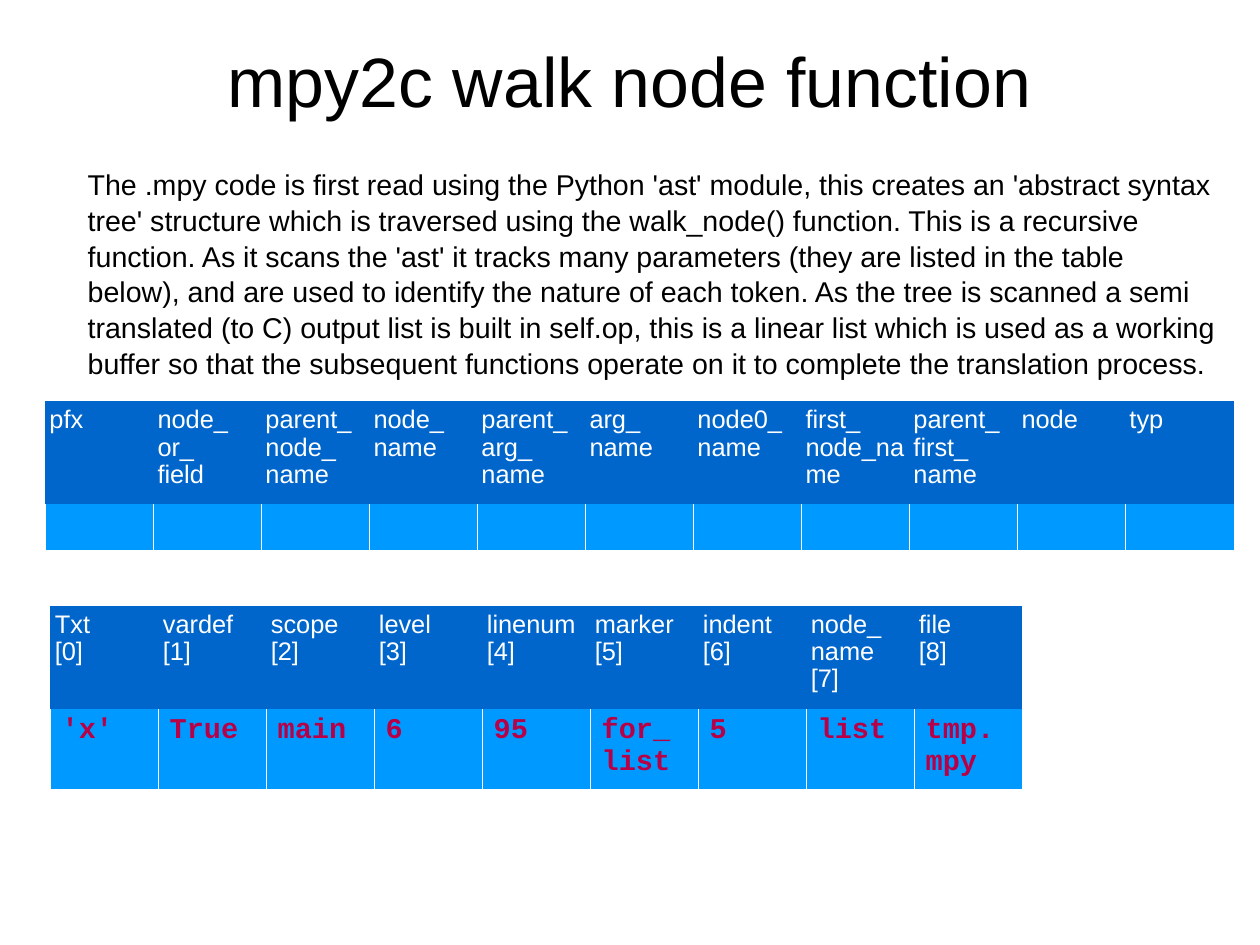
"""Build the slide on the walk node function and its two parameter tables."""
from dataclasses import dataclass

from lxml.etree import SubElement as Sub
from pptx import Presentation as Deck
from pptx.dml.color import RGBColor as Rgb
from pptx.enum.text import MSO_ANCHOR as Anchor, MSO_AUTO_SIZE as Auto, PP_ALIGN as Align
from pptx.oxml.ns import qn
from pptx.util import Cm, Pt

TITLE = "mpy2c walk node function"
BODY = (
    "The .mpy code is first read using the Python 'ast' module, this creates an "
    "'abstract syntax tree' structure which is traversed using the walk_node() "
    "function. This is a recursive function. As it scans the 'ast' it tracks many "
    "parameters (they are listed in the table below), and are used to identify the "
    "nature of each token. As the tree is scanned a semi translated (to C) output "
    "list is built in self.op, this is a linear list which is used as a working "
    "buffer so that the subsequent functions operate on it to complete the "
    "translation process."
)
PARAMS = [
    "pfx", "node_\nor_\nfield", "parent_node_\nname", "node_\nname",
    "parent_arg_\nname", "arg_\nname", "node0_\nname", "first_\nnode_name",
    "parent_\nfirst_\nname", "node", "typ",
]
FIELDS = ["Txt", "vardef", "scope", "level", "linenum", "marker", "indent",
          "node_\nname", "file"]
VALUES = ["'x'", "True", "main", "6", "95", "for_list", "5", "list", "tmp.mpy"]
TABLES = [
    dict(at=(1, 8.92), heads=PARAMS, cells=[""] * len(PARAMS), tall=0.99, last=2.43),
    dict(at=(1.12, 13.46), heads=[f"{name}\n[{i}]" for i, name in enumerate(FIELDS)],
         cells=VALUES, tall=1.78, last=2.4),
]
COL, HEAD = 2.4, 2.29
PLAIN = "{2D5ABB26-0587-4C30-8999-92F81FD0307C}"


@dataclass(frozen=True)
class Theme:
    """Hold the colours, fonts and type sizes."""
    black: str = "000000"
    white: str = "FFFFFF"
    dark: str = "0066CC"
    light: str = "0099FF"
    red: str = "B80047"
    sans: str = "Arial"
    mono: str = "Courier New"
    big: int = 44
    mid: int = 18
    small: int = 16


T = Theme()
STYLES = {
    "title": dict(name=T.sans, size=Pt(T.big), color=T.black),
    "body": dict(name=T.sans, size=Pt(T.mid), color=T.black),
    "head": dict(name=T.sans, size=Pt(T.small), color=T.white),
    "cell": dict(name=T.mono, size=Pt(T.mid), color=T.red, bold=True),
}


def apply(item, **vals):
    """Set each named attribute on an item."""
    for key, val in vals.items():
        setattr(item, key, val)


def write(frame, text, style, gap=1.0, align=Align.LEFT):
    """Fill a text frame and format its paragraphs."""
    frame.text = text
    for para in frame.paragraphs:
        apply(para, line_spacing=gap, alignment=align)
        for key, val in STYLES[style].items():
            if key == "color":
                para.font.color.rgb = Rgb.from_string(val)
            else:
                setattr(para.font, key, val)


def pad(item, side, ends):
    """Set the inner margins of a cell or text frame."""
    apply(item, margin_left=Cm(side), margin_right=Cm(side),
          margin_top=Cm(ends), margin_bottom=Cm(ends))


def edge(cell):
    """Draw thin white lines left, right and below a cell."""
    props = cell._tc.get_or_add_tcPr()
    for side in ("lnL", "lnR", "lnB"):
        line = Sub(props, qn(f"a:{side}"), w=str(Pt(0.06)))
        fill = Sub(line, qn("a:solidFill"))
        Sub(fill, qn("a:srgbClr"), val=T.white)


def paint(cell, color):
    """Fill a cell with one colour."""
    cell.fill.solid()
    cell.fill.fore_color.rgb = Rgb.from_string(color)


def grid(slide, at, heads, cells, tall, last):
    """Add a table of one header row and one value row."""
    count = len(heads)
    wide = COL * (count - 1) + last
    x, y = at
    table = slide.shapes.add_table(
        2, count, Cm(x), Cm(y), Cm(wide), Cm(HEAD + tall)).table
    apply(table, first_row=False, horz_banding=False)
    table._tbl.tblPr.find(qn("a:tableStyleId")).text = PLAIN
    for row, high in zip(table.rows, (HEAD, tall)):
        row.height = Cm(high)
    for i, (head, text) in enumerate(zip(heads, cells)):
        table.columns[i].width = Cm(last if i == count - 1 else COL)
        top, low = table.cell(0, i), table.cell(1, i)
        write(top.text_frame, head, "head", 0.96)
        pad(top, 0.1, 0.13)
        paint(top, T.dark)
        write(low.text_frame, text, "cell")
        pad(low, 0.25, 0.13)
        edge(low)
        paint(low, T.light)


def main():
    """Build and save the deck."""
    deck = Deck()
    apply(deck, slide_width=Cm(28), slide_height=Cm(21))
    slide = deck.slides.add_slide(deck.slide_layouts[5])

    title = slide.shapes.title
    apply(title, left=Cm(1.4), top=Cm(0.84), width=Cm(25.2), height=Cm(3.5))
    write(title.text_frame, TITLE, "title", align=Align.CENTER)
    pad(title.text_frame, 0, 0)
    apply(title.text_frame, vertical_anchor=Anchor.TOP, auto_size=Auto.NONE)

    body = slide.shapes.add_textbox(Cm(1.7), Cm(3.56), Cm(25.73), Cm(5.23))
    body.text_frame.word_wrap = True
    pad(body.text_frame, 0.25, 0.13)
    write(body.text_frame, BODY, "body", 1.04)

    for spec in TABLES:
        grid(slide, **spec)
    deck.save("out.pptx")


if __name__ == "__main__":
    main()
